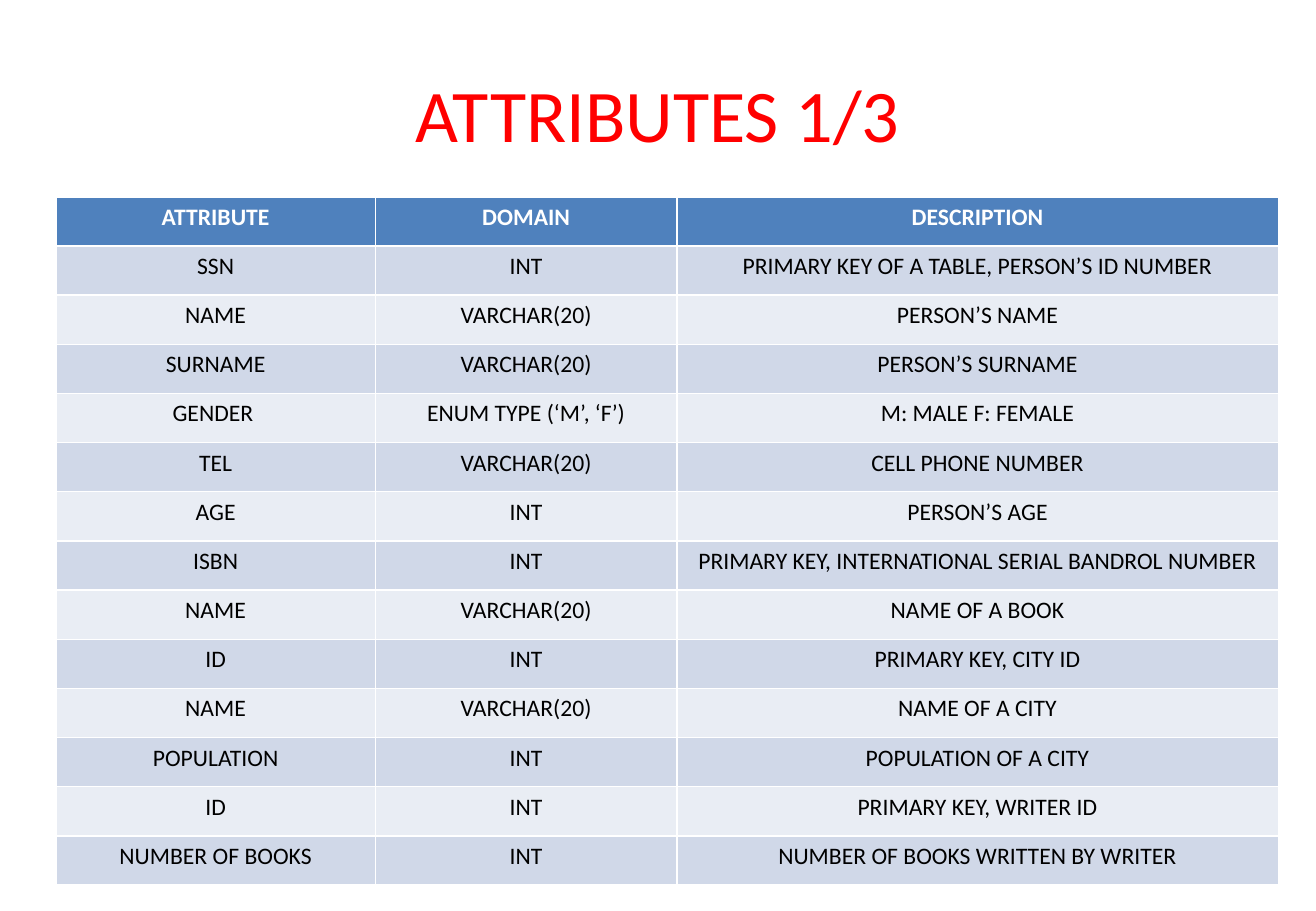
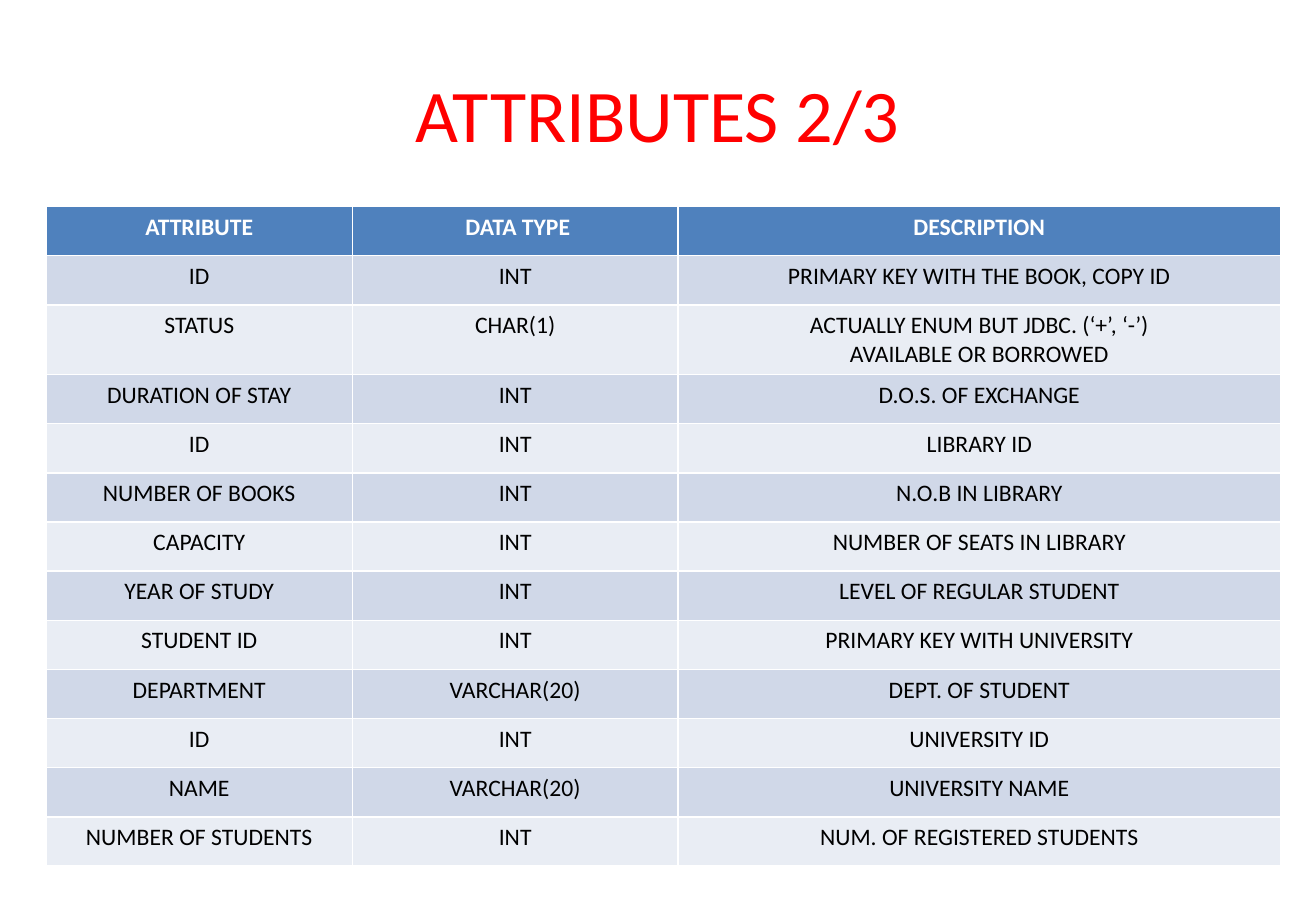
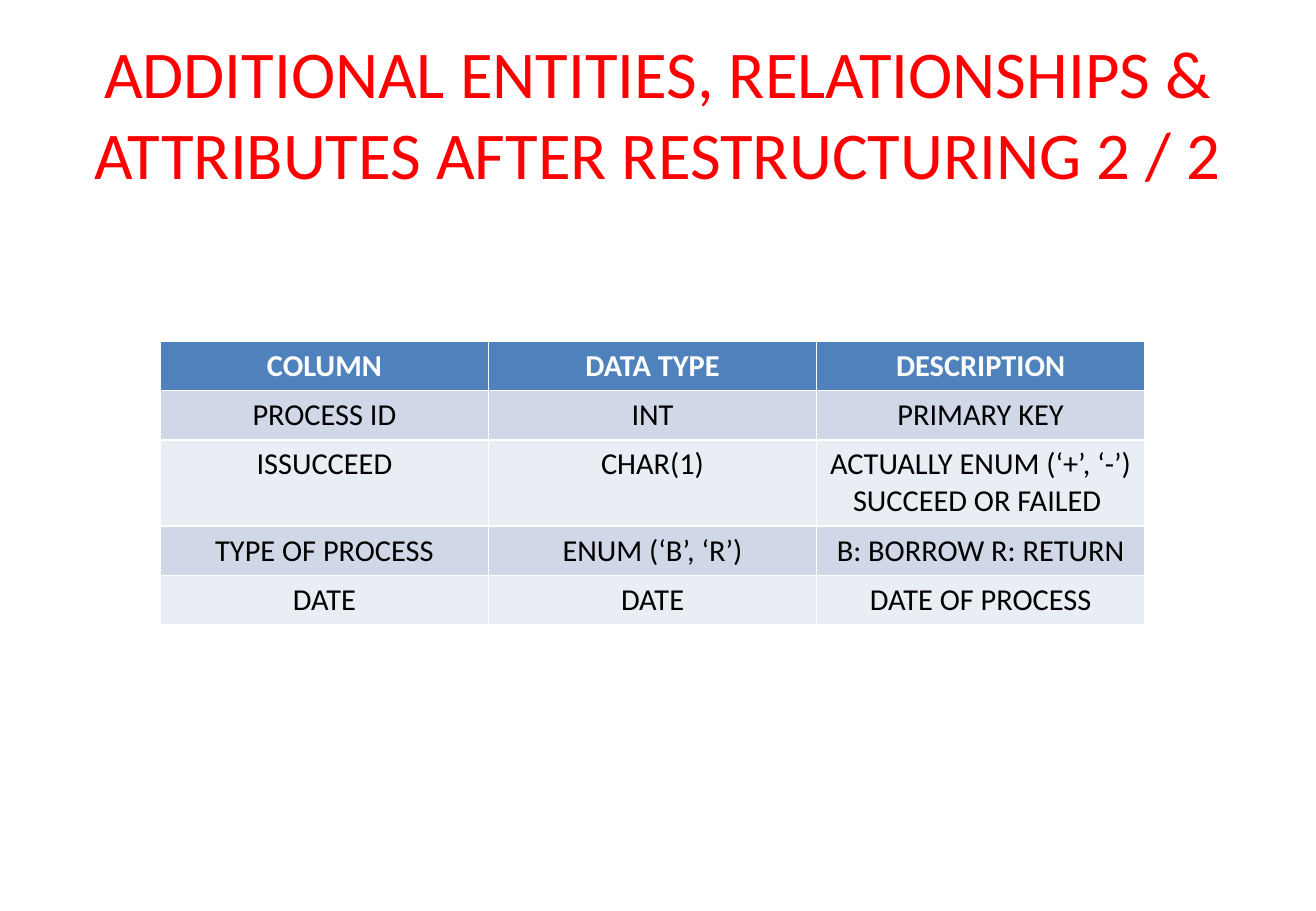
import pptx
import pptx.dml.color
import pptx.enum.text
import pptx.util

Inches = pptx.util.Inches
Pt = pptx.util.Pt
RGBColor = pptx.dml.color.RGBColor

FONT = "Calibri"
RED = RGBColor(0xFF, 0x00, 0x00)
WHITE = RGBColor(0xFF, 0xFF, 0xFF)
BLACK = RGBColor(0x00, 0x00, 0x00)
HEADER_BLUE = RGBColor(0x4F, 0x81, 0xBD)
BANDS = (RGBColor(0xE9, 0xED, 0xF4), RGBColor(0xD0, 0xD8, 0xE8))
ROW_HEIGHT = 0.405
TITLE_BOX = (0.54, 0.3, 9.75, 1.25)

SLIDES = [
    {
        "title": "ATTRIBUTES 1/3", "title_size": 44,
        "left": 0.46, "top": 1.62, "columns": (2.63, 2.48, 4.95), "text_size": 14,
        "rows": [
            ("ATTRIBUTE", "DOMAIN", "DESCRIPTION"),
            ("SSN", "INT", "PRIMARY KEY OF A TABLE, PERSON’S ID NUMBER"),
            ("NAME", "VARCHAR(20)", "PERSON’S NAME"),
            ("SURNAME", "VARCHAR(20)", "PERSON’S SURNAME"),
            ("GENDER ", "ENUM TYPE (‘M’, ‘F’)", "M: MALE F: FEMALE"),
            ("TEL", "VARCHAR(20)", "CELL PHONE NUMBER"),
            ("AGE", "INT", "PERSON’S AGE"),
            ("ISBN", "INT", "PRIMARY KEY, INTERNATIONAL SERIAL BANDROL NUMBER"),
            ("NAME", "VARCHAR(20)", "NAME OF A BOOK"),
            ("ID", "INT", "PRIMARY KEY, CITY ID"),
            ("NAME", "VARCHAR(20)", "NAME OF A CITY"),
            ("POPULATION", "INT", "POPULATION OF A CITY"),
            ("ID", "INT", "PRIMARY KEY, WRITER ID"),
            ("NUMBER OF BOOKS", "INT", "NUMBER OF BOOKS WRITTEN BY WRITER"),
        ],
    },
    {
        "title": "ATTRIBUTES 2/3", "title_size": 44,
        "left": 0.38, "top": 1.7, "columns": (2.52, 2.68, 4.96), "text_size": 14,
        "rows": [
            ("ATTRIBUTE", " DATA TYPE", "DESCRIPTION"),
            ("ID", "INT", "PRIMARY KEY WITH THE BOOK, COPY ID"),
            ("STATUS", "CHAR(1)",
             "ACTUALLY ENUM BUT JDBC. (‘+’, ‘-’)\nAVAILABLE OR BORROWED"),
            ("DURATION OF STAY", "INT", "D.O.S. OF EXCHANGE"),
            ("ID", "INT", "LIBRARY ID"),
            ("NUMBER OF BOOKS", "INT", "N.O.B IN LIBRARY"),
            ("CAPACITY", "INT", "NUMBER OF SEATS IN LIBRARY"),
            ("YEAR OF STUDY", "INT", "LEVEL OF REGULAR STUDENT"),
            ("STUDENT ID", "INT", "PRIMARY KEY WITH UNIVERSITY"),
            ("DEPARTMENT", "VARCHAR(20)", "DEPT. OF STUDENT"),
            ("ID", "INT", "UNIVERSITY ID"),
            ("NAME", "VARCHAR(20)", "UNIVERSITY NAME"),
            ("NUMBER OF STUDENTS", "INT", "NUM. OF REGISTERED STUDENTS"),
        ],
    },
    {
        "title": "ADDITIONAL ENTITIES, RELATIONSHIPS & "
                 "ATTRIBUTES AFTER RESTRUCTURING 2 / 2",
        "title_size": 39.6,
        "left": 1.32, "top": 2.81, "columns": (2.7, 2.7, 2.7), "text_size": 18,
        "rows": [
            ("COLUMN", "DATA TYPE", "DESCRIPTION"),
            ("PROCESS ID", "INT", "PRIMARY KEY"),
            ("ISSUCCEED", "CHAR(1)", "ACTUALLY ENUM (‘+’, ‘-’)\nSUCCEED OR FAILED "),
            ("TYPE OF PROCESS", "ENUM (‘B’, ‘R’)", "B: BORROW R: RETURN"),
            ("DATE", "DATE", "DATE OF PROCESS"),
        ],
    },
]


def write_text(tf, text, size, color, bold=False):
    """Write each line of text as one centred paragraph."""
    for i, line in enumerate(text.split("\n")):
        p = tf.add_paragraph() if i else tf.paragraphs[0]
        p.alignment = pptx.enum.text.PP_ALIGN.CENTER
        r = p.add_run()
        r.text = line
        r.font.name = FONT
        r.font.size = Pt(size)
        r.font.bold = bold
        r.font.color.rgb = color


def add_banded_table(s, left, top, columns, rows, size):
    """Add a table with a blue header and alternating row fills."""
    frame = s.shapes.add_table(
        len(rows), len(columns), Inches(left), Inches(top),
        Inches(sum(columns)), Inches(ROW_HEIGHT * len(rows)))
    table = frame.table
    for column, width in zip(table.columns, columns):
        column.width = Inches(width)
    for i, row in enumerate(rows):
        table.rows[i].height = Inches(ROW_HEIGHT)
        header = i == 0
        for j, text in enumerate(row):
            cell = table.cell(i, j)
            cell.fill.solid()
            cell.fill.fore_color.rgb = HEADER_BLUE if header else BANDS[i % 2]
            write_text(cell.text_frame, text, size, WHITE if header else BLACK, header)


def build():
    """Build and save the presentation."""
    prs = pptx.Presentation()
    prs.slide_width, prs.slide_height = Inches(10.83), Inches(7.5)
    layout = prs.slide_layouts.get_by_name("Title Only")
    title = layout.placeholders[0]
    title.left, title.top, title.width, title.height = map(Inches, TITLE_BOX)
    title.text_frame.vertical_anchor = pptx.enum.text.MSO_ANCHOR.MIDDLE
    for content in SLIDES:
        s = prs.slides.add_slide(layout)
        write_text(s.shapes.title.text_frame, content["title"], content["title_size"], RED)
        add_banded_table(s, content["left"], content["top"], content["columns"],
                         content["rows"], content["text_size"])
    prs.save("out.pptx")


build()
